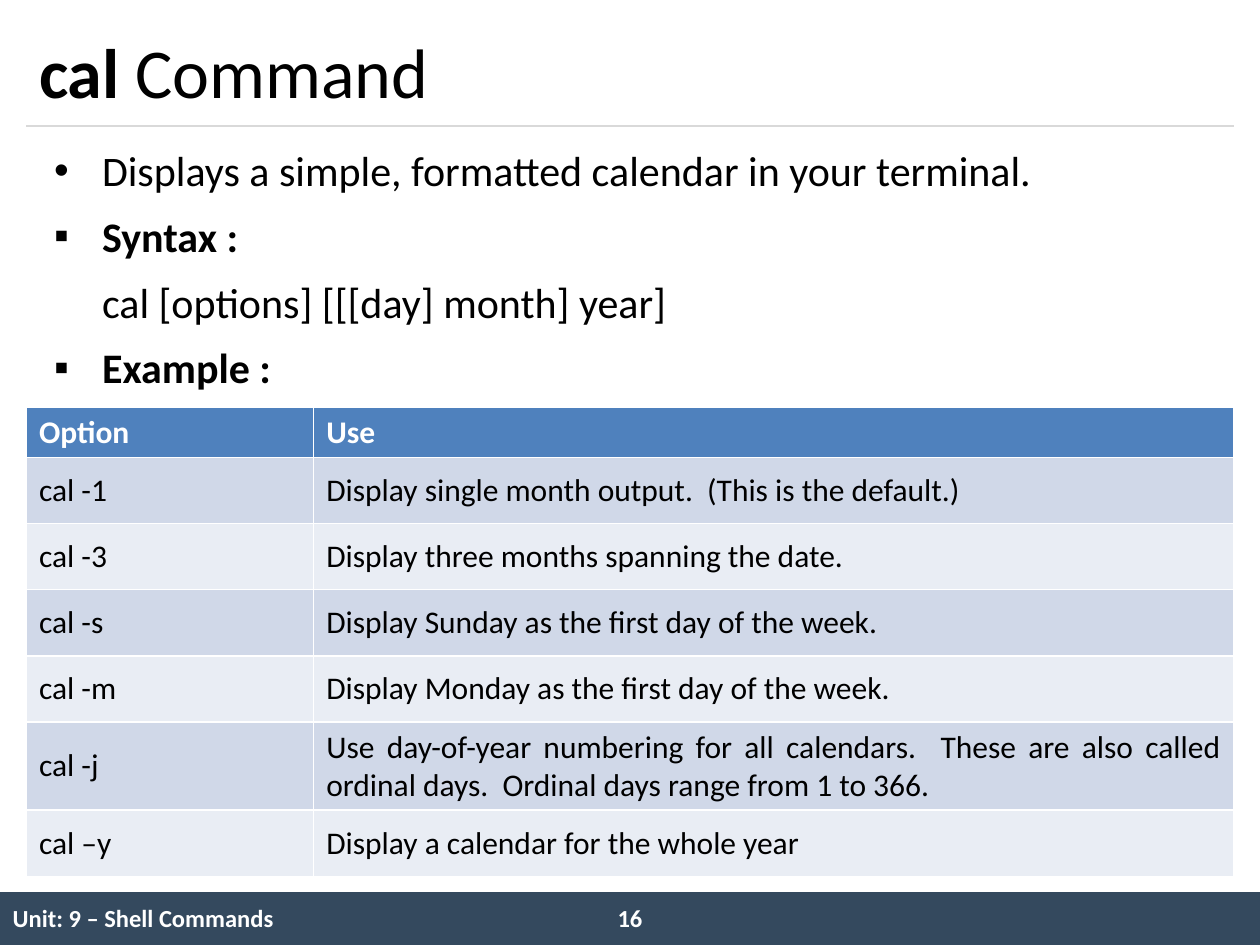
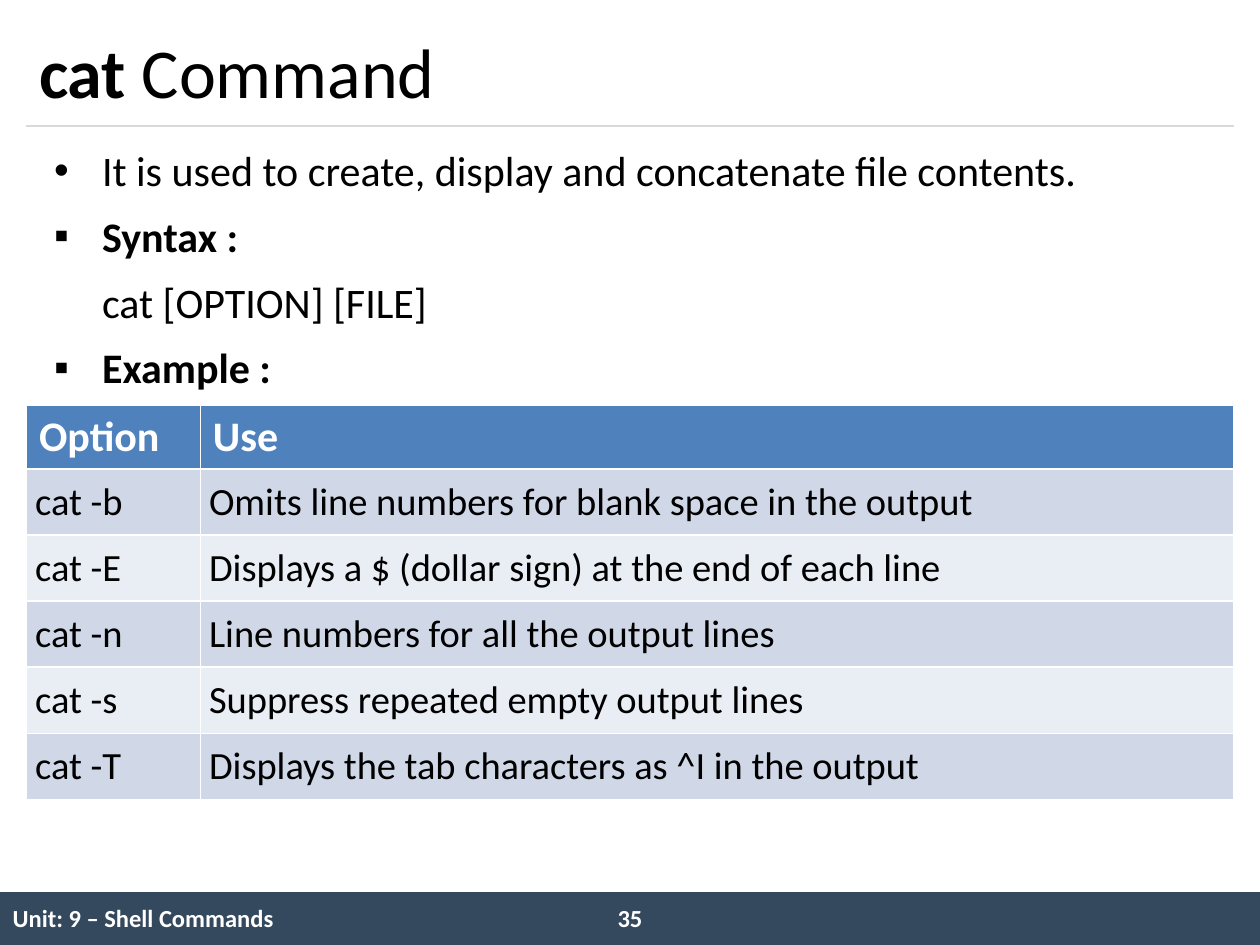
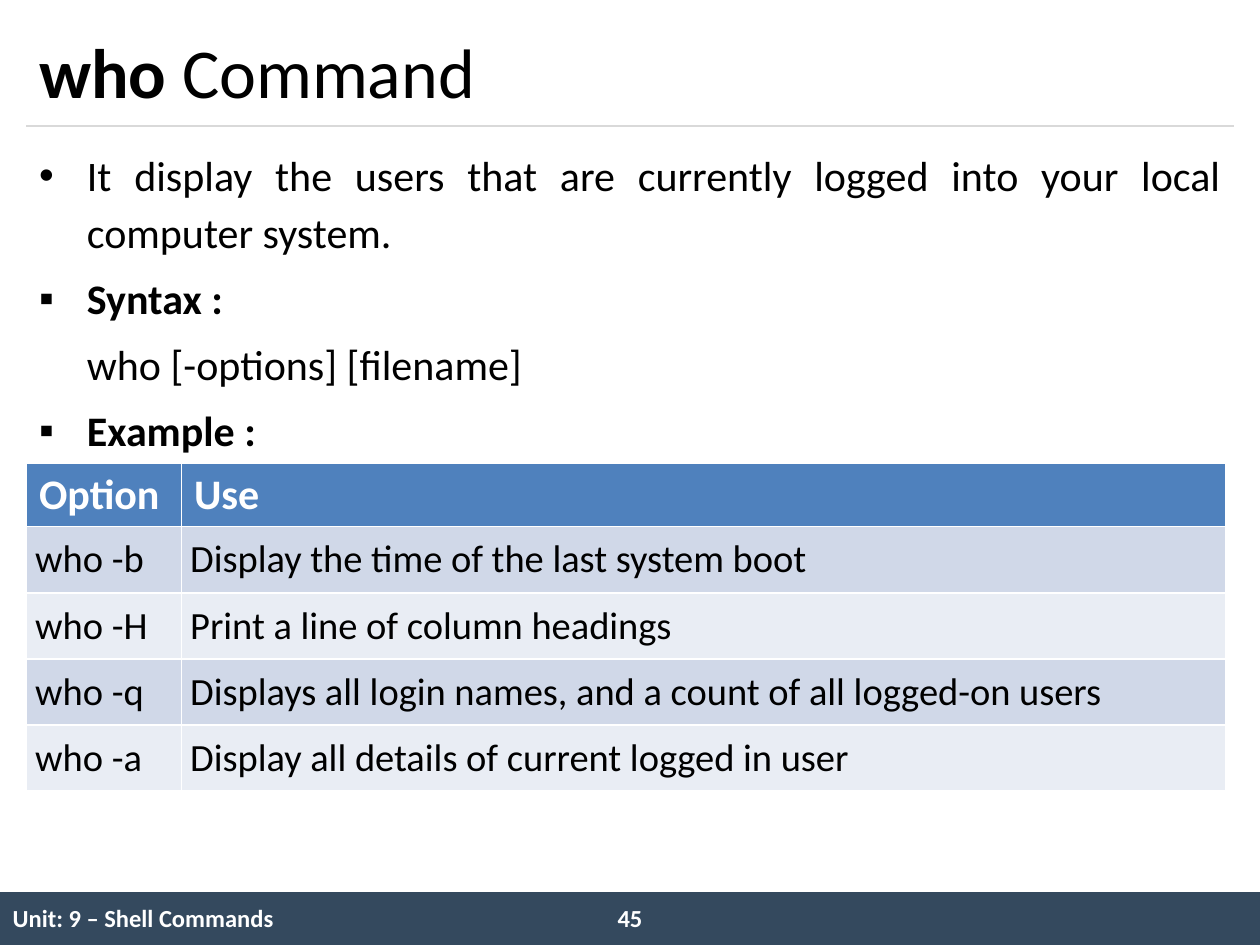
from dataclasses import dataclass

from lxml import etree
from pptx import Presentation
from pptx import util as u
from pptx.dml.color import RGBColor
from pptx.enum import shapes, text
from pptx.oxml import ns

COLORS = {
    "bar": "34495E",
    "rule": "D9D9D9",
    "header": "4F81BD",
    "band_dark": "D0D8E8",
    "band_light": "E9EDF4",
    "ink": "000000",
    "paper": "FFFFFF",
}
FONT = "Calibri"
UNIT = "Unit: 9 – Shell Commands"
NO_GRID_STYLE = "{2D5ABB26-0587-4C30-8999-92F81FD0307C}"
MARGIN = u.Inches(0.21)
CONTENT_W = u.Inches(9.58)
RULE_Y = u.Inches(1)
BAR_Y = u.Inches(7.08)
HANG = u.Inches(0.38)
ROW_H = u.Inches(2.1) // 4


@dataclass(frozen=True)
class TableStyle:
    header_size: int
    body_size: int
    header_height: float
    align: text.PP_ALIGN
    inset: float | None = None


@dataclass(frozen=True)
class Command:
    name: str
    number: int
    summary: str
    syntax: str
    body_left: float
    body_top: float
    table_top: float
    col_widths: tuple[float, float]
    style: TableStyle
    options: tuple[tuple[str, str], ...]


COMPACT = TableStyle(18, 18, 0.4, text.PP_ALIGN.JUSTIFY)
LARGE = TableStyle(24, 22, 0.5, text.PP_ALIGN.LEFT, 0.07)

COMMANDS = (
    Command(
        "cal", 16,
        "Displays a simple, formatted calendar in your terminal.",
        "cal [options] [[[day] month] year]",
        0.33, 1.04, 3.23, (2.28, 7.3), COMPACT,
        (
            ("cal -1", "Display single month output.  (This is the default.)"),
            ("cal -3", "Display three months spanning the date."),
            ("cal -s", "Display Sunday as the first day of the week."),
            ("cal -m", "Display Monday as the first day of the week."),
            ("cal -j", "Use day-of-year numbering for all calendars.  These are also "
                       "called ordinal days.  Ordinal days range from 1 to 366."),
            ("cal –y", "Display a calendar for the whole year"),
        ),
    ),
    Command(
        "cat", 35,
        "It is used to create, display and concatenate file contents.",
        "cat [OPTION] [FILE]",
        0.33, 1.04, 3.22, (1.38, 8.2), LARGE,
        (
            ("cat -b", "Omits line numbers for blank space in the output"),
            ("cat -E", "Displays a $ (dollar sign) at the end of each line"),
            ("cat -n", "Line numbers for all the output lines"),
            ("cat -s", "Suppress repeated empty output lines"),
            ("cat -T", "Displays the tab characters as ^I in the output"),
        ),
    ),
    Command(
        "who", 45,
        "It display the users that are currently logged into your local computer system.",
        "who [-options] [filename]",
        0.21, 1.08, 3.68, (1.23, 8.29), LARGE,
        (
            ("who -b", "Display the time of the last system boot"),
            ("who -H", "Print a line of column headings"),
            ("who -q", "Displays all login names, and a count of all logged-on users"),
            ("who -a", "Display all details of current logged in user"),
        ),
    ),
)


def rgb(name: str) -> RGBColor:
    return RGBColor.from_string(COLORS[name])


def format_runs(p, size: int, color: str = "ink", bold: bool = False) -> None:
    for r in p.runs:
        r.font.name = FONT
        r.font.size = u.Pt(size)
        r.font.bold = bold
        r.font.color.rgb = rgb(color)


def place(sp, left: int, top: int, width: int, height: int) -> None:
    sp.left, sp.top, sp.width, sp.height = left, top, width, height


def set_bullet(p, char: str | None) -> None:
    pPr = p._p.get_or_add_pPr()
    pPr.set("marL", str(HANG))
    pPr.set("indent", str(-HANG if char else 0))
    if char:
        etree.SubElement(pPr, ns.qn("a:buFont"), typeface="Arial")
        etree.SubElement(pPr, ns.qn("a:buChar"), char=char)
    else:
        etree.SubElement(pPr, ns.qn("a:buNone"))


def add_frame(slide, number: int) -> None:
    bar = slide.shapes.add_shape(
        shapes.MSO_SHAPE.RECTANGLE, 0, BAR_Y, u.Inches(10), u.Inches(0.42))
    bar.shadow.inherit = False
    bar.fill.solid()
    bar.fill.fore_color.rgb = rgb("bar")
    bar.line.fill.background()

    tbl = slide.shapes.add_table(1, 3, 0, BAR_Y, u.Inches(10), u.Inches(0.43)).table
    tbl.first_row = tbl.horz_banding = False
    tbl._tbl.tblPr.find(ns.qn("a:tableStyleId")).text = NO_GRID_STYLE
    for col, width in zip(tbl.columns, (5.08, 0.67, 4.25)):
        col.width = u.Inches(width)
    cell = tbl.cell(0, 0)
    cell.text_frame.text = UNIT
    cell.vertical_anchor = text.MSO_ANCHOR.MIDDLE
    format_runs(cell.text_frame.paragraphs[0], 14, "paper", True)

    box = slide.shapes.add_textbox(
        u.Inches(4.71), u.Inches(7.12), u.Inches(0.58), u.Inches(0.34))
    tf = box.text_frame
    tf.word_wrap = True
    tf.text = str(number)
    tf.paragraphs[0].alignment = text.PP_ALIGN.CENTER
    format_runs(tf.paragraphs[0], 14, "paper", True)

    rule = slide.shapes.add_connector(
        shapes.MSO_CONNECTOR.STRAIGHT, MARGIN, RULE_Y, MARGIN + CONTENT_W, RULE_Y)
    rule.line.color.rgb = rgb("rule")
    rule.line.width = u.Pt(0.75)
    etree.SubElement(rule._element.spPr, ns.qn("a:effectLst"))


def fill_title(slide, name: str) -> None:
    sp = slide.shapes.title
    place(sp, MARGIN, u.Inches(0.12), CONTENT_W, u.Inches(0.88))
    tf = sp.text_frame
    tf.auto_size = text.MSO_AUTO_SIZE.NONE
    tf.vertical_anchor = text.MSO_ANCHOR.MIDDLE
    p = tf.paragraphs[0]
    p.alignment = text.PP_ALIGN.LEFT
    for part in (name, " Command"):
        p.add_run().text = part
    format_runs(p, 40)
    p.runs[0].font.bold = True


def fill_body(slide, command: Command) -> None:
    sp = slide.placeholders[1]
    place(sp, u.Inches(command.body_left), u.Inches(command.body_top),
          CONTENT_W, u.Inches(5.83))
    tf = sp.text_frame
    tf.auto_size = text.MSO_AUTO_SIZE.NONE
    lines = (
        (command.summary, "•", False),
        ("Syntax :", "▪", True),
        (command.syntax, None, False),
        ("Example :", "▪", True),
    )
    for i, (line, char, bold) in enumerate(lines):
        p = tf.add_paragraph() if i else tf.paragraphs[0]
        p.text = line
        set_bullet(p, char)
        p.alignment = text.PP_ALIGN.JUSTIFY
        p.line_spacing = 1.14
        if i == 0:
            p.space_before = u.Pt(0)
        format_runs(p, 24, bold=bold)


def add_options(slide, command: Command) -> None:
    style = command.style
    rows = (("Option", "Use"), *command.options)
    widths = [u.Inches(w) for w in command.col_widths]
    header_h = u.Inches(style.header_height)
    tbl = slide.shapes.add_table(
        len(rows), 2, MARGIN, u.Inches(command.table_top),
        sum(widths), header_h + ROW_H * len(command.options)).table
    for col, width in zip(tbl.columns, widths):
        col.width = width
    for i, row in enumerate(rows):
        header = i == 0
        tbl.rows[i].height = header_h if header else ROW_H
        fill = "header" if header else "band_dark" if i % 2 else "band_light"
        for j, value in enumerate(row):
            cell = tbl.cell(i, j)
            cell.fill.solid()
            cell.fill.fore_color.rgb = rgb(fill)
            cell.vertical_anchor = text.MSO_ANCHOR.MIDDLE
            if style.inset and not header:
                cell.margin_left = cell.margin_right = u.Inches(style.inset)
                cell.margin_top = cell.margin_bottom = 0
            cell.text_frame.text = value
            p = cell.text_frame.paragraphs[0]
            if j == 1:
                p.alignment = text.PP_ALIGN.JUSTIFY if header else style.align
            format_runs(p, style.header_size if header else style.body_size,
                        "paper" if header else "ink", header)


def main() -> None:
    prs = Presentation()
    prs.slide_width, prs.slide_height = u.Inches(10), u.Inches(7.5)
    for command in COMMANDS:
        slide = prs.slides.add_slide(prs.slide_layouts[1])
        add_frame(slide, command.number)
        fill_title(slide, command.name)
        fill_body(slide, command)
        add_options(slide, command)
    prs.save("out.pptx")


if __name__ == "__main__":
    main()
